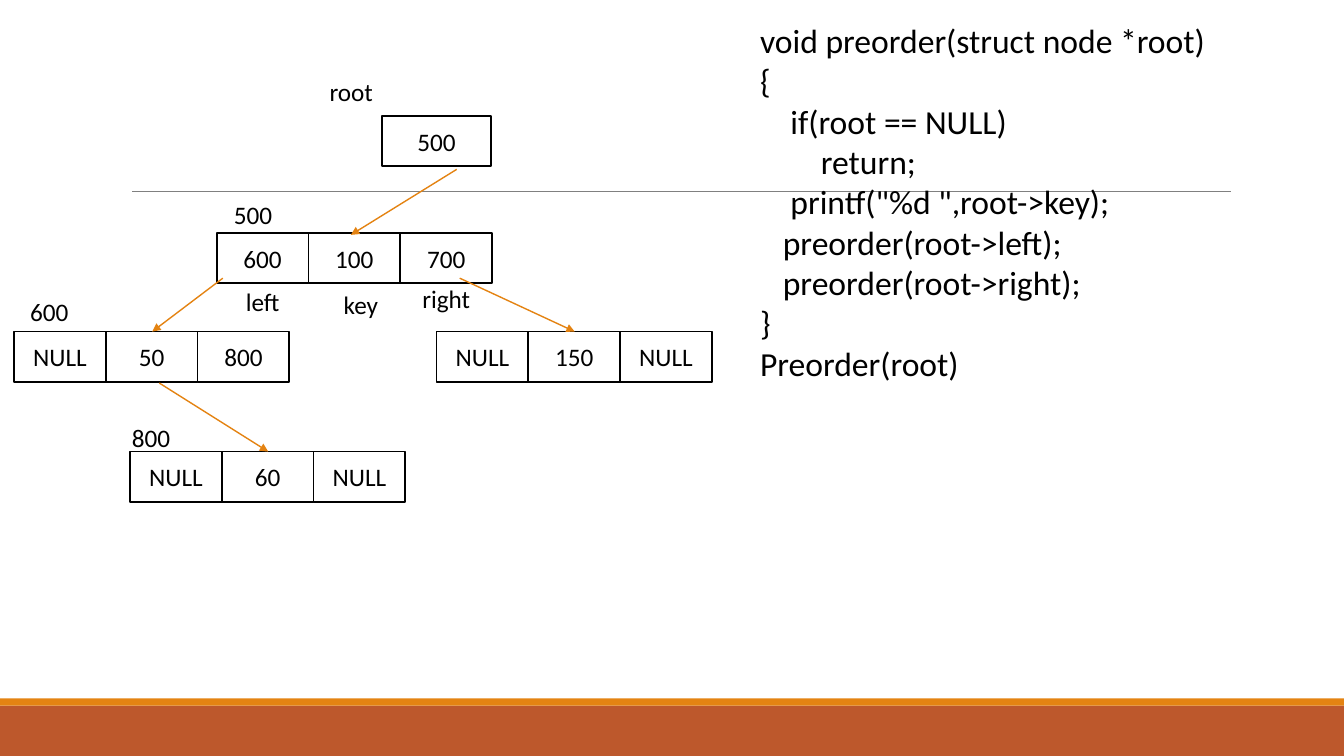
"""Build a slide with a binary tree in memory beside its preorder traversal code."""
from dataclasses import dataclass

from lxml import etree
from pptx import Presentation
from pptx.dml.color import RGBColor
from pptx.enum.shapes import MSO_CONNECTOR, MSO_SHAPE
from pptx.enum.text import MSO_ANCHOR, MSO_AUTO_SIZE, PP_ALIGN
from pptx.oxml.ns import qn
from pptx.util import Pt

STRAIGHT = MSO_CONNECTOR.STRAIGHT
RECTANGLE = MSO_SHAPE.RECTANGLE
MIDDLE = MSO_ANCHOR.MIDDLE
GROW = MSO_AUTO_SIZE.SHAPE_TO_FIT_TEXT
CENTER = PP_ALIGN.CENTER
PX = 9144


@dataclass(frozen=True)
class Theme:
    font: str = "Calibri"
    ink: RGBColor = RGBColor(0, 0, 0)
    rule: RGBColor = RGBColor(0x80, 0x80, 0x80)
    accent: RGBColor = RGBColor(0xE4, 0x83, 0x12)
    footer: RGBColor = RGBColor(0xBD, 0x58, 0x2C)
    label_size: int = 18
    code_size: int = 24


THEME = Theme()


def write(frame, lines, size, align=None):
    """Fill a text frame with one paragraph per line."""
    frame.word_wrap = True
    frame.text = "\n".join(lines)
    for paragraph in frame.paragraphs:
        paragraph.alignment = align
        paragraph.font.name = THEME.font
        paragraph.font.size = Pt(size)
        paragraph.font.color.rgb = THEME.ink


def connect(start, end, color, width):
    """Draw a straight line without shadow and return it."""
    line = slide.shapes.add_connector(STRAIGHT, *(v * PX for v in start + end))
    line.line.color.rgb = color
    line.line.width = Pt(width)
    etree.SubElement(line._element.spPr, qn("a:effectLst"))
    return line


prs = Presentation()
prs.slide_width, prs.slide_height = 1333 * PX, 750 * PX
slide = prs.slides.add_slide(prs.slide_layouts[6])

for top, height, color in [(700, 50, THEME.footer), (693, 7, THEME.accent)]:
    band = slide.shapes.add_shape(RECTANGLE, 0, top * PX, prs.slide_width, height * PX)
    band.shadow.inherit = False
    band.fill.solid()
    band.fill.fore_color.rgb = color
    band.line.fill.background()

connect((131, 190), (1221, 190), THEME.rule, 0.5)

nodes = [
    (379, 115, 108, ["500"]),
    (215, 231, 91, ["600", "100", "700"]),
    (14, 329, 91, ["NULL", "50", "800"]),
    (433, 329, 91, ["NULL", "150", "NULL"]),
    (129, 448, 91, ["NULL", "60", "NULL"]),
]
for left, top, width, values in nodes:
    node = slide.shapes.add_group_shape()
    for column, value in enumerate(values):
        cell = node.shapes.add_shape(
            RECTANGLE, (left + column * width) * PX, top * PX, width * PX, 50 * PX)
        cell.shadow.inherit = False
        cell.fill.background()
        cell.line.color.rgb = THEME.ink
        cell.line.width = Pt(1.25)
        cell.text_frame.vertical_anchor = MIDDLE
        write(cell.text_frame, [value], THEME.label_size, CENTER)

pointers = [
    ((453, 168), (348, 233)),
    ((221, 276), (151, 329)),
    ((456, 276), (570, 329)),
    ((158, 380), (266, 448)),
]
for start, end in pointers:
    pointer = connect(start, end, THEME.accent, 1)
    etree.SubElement(pointer.line._get_or_add_ln(), qn("a:tailEnd"), type="triangle")

code = [
    "void preorder(struct node *root)",
    "{",
    "    if(root == NULL)",
    "        return;",
    '    printf("%d ",root->key);',
    "   preorder(root->left);",
    "   preorder(root->right);",
    "}",
    "Preorder(root)",
]
texts = [
    (317, 71, 102, 40, ["root"], THEME.label_size),
    (222, 193, 88, 40, ["500"], THEME.label_size),
    (20, 289, 88, 40, ["600"], THEME.label_size),
    (121, 414, 88, 40, ["800"], THEME.label_size),
    (234, 279, 78, 40, ["left"], THEME.label_size),
    (331, 282, 78, 40, ["key"], THEME.label_size),
    (409, 276, 78, 40, ["right"], THEME.label_size),
    (744, 15, 546, 374, code, THEME.code_size),
]
for left, top, width, height, lines, size in texts:
    caption = slide.shapes.add_textbox(left * PX, top * PX, width * PX, height * PX)
    caption.text_frame.auto_size = GROW
    write(caption.text_frame, lines, size)

prs.save("out.pptx")
